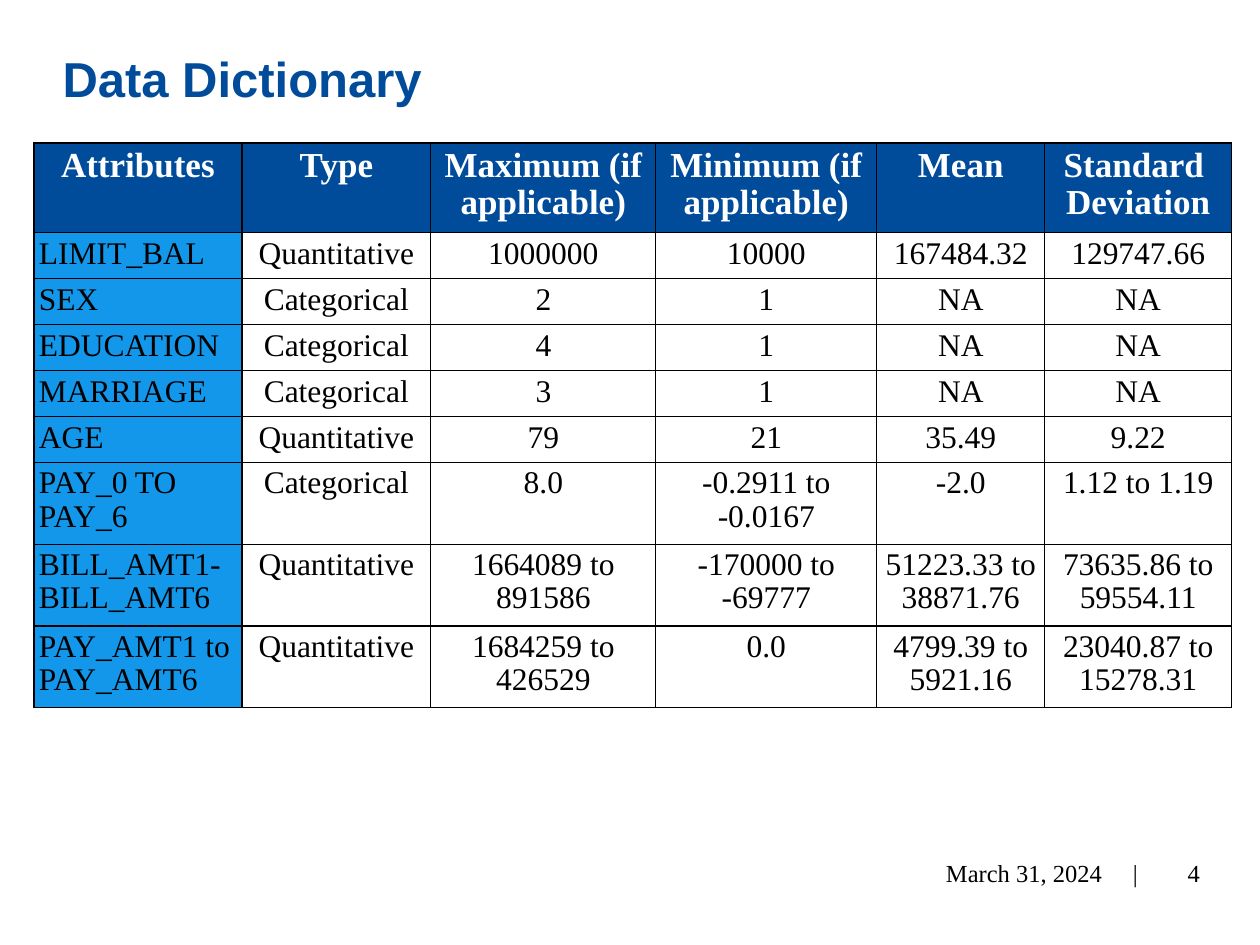
from lxml.etree import SubElement
from pptx import Presentation
from pptx.dml.color import RGBColor
from pptx.enum.text import MSO_ANCHOR, PP_ALIGN
from pptx.oxml import parse_xml
from pptx.oxml.ns import nsdecls, qn
from pptx.util import Pt

PX = 914400 // 126
NAVY = RGBColor(0x00, 0x4C, 0x9B)
SKY = RGBColor(0x12, 0x97, 0xEB)
WHITE = RGBColor(0xFF, 0xFF, 0xFF)
BLACK = RGBColor(0x00, 0x00, 0x00)
SERIF = "Times New Roman"

COLUMN_WIDTHS = [208, 189, 225, 221, 168, 187]
ROW_HEIGHTS = [88, 46, 45, 46, 45, 45, 80, 80, 80]
DICTIONARY = [
    ["Attributes", "Type", "Maximum (if applicable)", "Minimum (if applicable)", "Mean", "Standard \nDeviation"],
    ["LIMIT_BAL", "Quantitative", "1000000", "10000", "167484.32", "129747.66"],
    ["SEX", "Categorical", "2", "1", "NA", "NA"],
    ["EDUCATION", "Categorical", "4", "1", "NA", "NA"],
    ["MARRIAGE", "Categorical", "3", "1", "NA", "NA"],
    ["AGE", "Quantitative", "79", "21", "35.49", "9.22"],
    ["PAY_0 TO PAY_6", "Categorical", "8.0", "-0.2911 to -0.0167", "-2.0", "1.12 to 1.19"],
    ["BILL_AMT1-BILL_AMT6", "Quantitative", "1664089 to 891586", "-170000 to -69777",
     "51223.33 to 38871.76", "73635.86 to 59554.11"],
    ["PAY_AMT1 to PAY_AMT6", "Quantitative", "1684259 to 426529", "0.0",
     "4799.39 to 5921.16", "23040.87 to 15278.31"],
]


def px(length):
    return length * PX


def place(box, left, top, width, height):
    box.left, box.top, box.width, box.height = map(px, (left, top, width, height))


def set_font(paragraph, face, size, color, bold=False):
    font = paragraph.font
    font.name, font.size, font.bold = face, Pt(size), bold
    font.color.rgb = color


def add_title(slide, wording):
    title = slide.shapes.title
    place(title, 50, 54, 1164, 147)
    title.text_frame.text = wording
    title.text_frame.vertical_anchor = MSO_ANCHOR.TOP
    heading = title.text_frame.paragraphs[0]
    heading.alignment = PP_ALIGN.LEFT
    heading.line_spacing = Pt(26.6)
    set_font(heading, "Arial", 28, NAVY, True)


def add_footer(slide, wording, left, width, alignment):
    footer = slide.shapes.add_textbox(px(left), px(848), px(width), px(50))
    frame = footer.text_frame
    frame.word_wrap = True
    frame.vertical_anchor = MSO_ANCHOR.MIDDLE
    frame.margin_left = frame.margin_right = 0
    frame.text = wording
    line = frame.paragraphs[0]
    line.alignment = alignment
    return line


def add_tab_stop(paragraph, position):
    stops = SubElement(paragraph._p.get_or_add_pPr(), qn("a:tabLst"))
    SubElement(stops, qn("a:tab"), pos=str(px(position)), algn="l")


def add_borders(cell):
    properties = cell._tc.get_or_add_tcPr()
    for index, side in enumerate(("lnL", "lnR", "lnT", "lnB")):
        properties.insert(index, parse_xml(
            f'<a:{side} {nsdecls("a")} w="{Pt(0.78)}"><a:solidFill>'
            f'<a:srgbClr val="{BLACK}"/></a:solidFill></a:{side}>'))


def format_cell(cell, wording, is_header, is_attribute):
    cell.margin_left = cell.margin_right = cell.margin_top = cell.margin_bottom = px(5)
    cell.text = wording
    if is_header or is_attribute:
        cell.fill.solid()
        cell.fill.fore_color.rgb = NAVY if is_header else SKY
    else:
        cell.fill.background()
    add_borders(cell)
    for paragraph in cell.text_frame.paragraphs:
        left_aligned = is_attribute and not is_header
        paragraph.alignment = PP_ALIGN.LEFT if left_aligned else PP_ALIGN.CENTER
        paragraph.line_spacing = 0.95
        set_font(paragraph, SERIF, 20 if is_header else 18,
                 WHITE if is_header else BLACK, is_header)


def add_dictionary(slide):
    table = slide.shapes.add_table(
        len(ROW_HEIGHTS), len(COLUMN_WIDTHS), px(34), px(143),
        px(sum(COLUMN_WIDTHS)), px(sum(ROW_HEIGHTS))).table
    table.horz_banding = False
    for column, width in zip(table.columns, COLUMN_WIDTHS):
        column.width = px(width)
    for row, height in zip(table.rows, ROW_HEIGHTS):
        row.height = px(height)
    for r, attribute in enumerate(DICTIONARY):
        for c, wording in enumerate(attribute):
            format_cell(table.cell(r, c), wording, r == 0, c == 0)


def main():
    presentation = Presentation()
    presentation.slide_width, presentation.slide_height = px(1260), px(945)
    slide = presentation.slides.add_slide(presentation.slide_layouts[5])
    add_title(slide, "Data Dictionary")
    date = add_footer(slide, "March 31, 2024\t|", 946, 204, PP_ALIGN.LEFT)
    add_tab_stop(date, 187)
    number = add_footer(slide, "4", 1120, 80, PP_ALIGN.RIGHT)
    for line in (date, number):
        set_font(line, SERIF, 14, BLACK)
    add_dictionary(slide)
    presentation.save("out.pptx")


if __name__ == "__main__":
    main()
